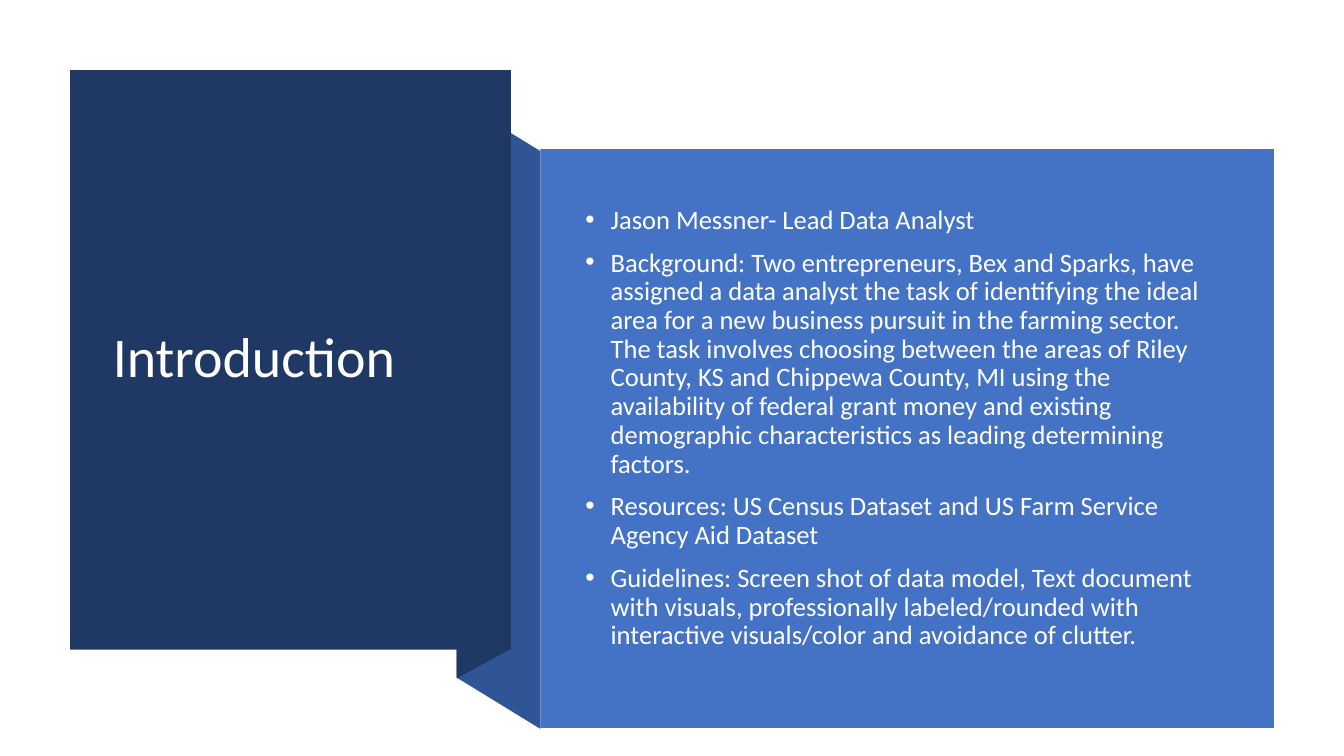
from lxml import etree
from pptx import Presentation
from pptx.dml.color import RGBColor
from pptx.enum.shapes import MSO_SHAPE
from pptx.enum.text import MSO_ANCHOR
from pptx.oxml.ns import qn
from pptx.util import Pt

RECT = MSO_SHAPE.RECTANGLE
MIDDLE = MSO_ANCHOR.MIDDLE
FONT = "Calibri"
COLORS = {
    "navy": "203864",
    "fold": "2F5597",
    "panel": "4472C4",
    "title": "FFFFFF",
    "body": "FEFFFF",
}
POINTS = [
    "Jason Messner- Lead Data Analyst",
    "Background: Two entrepreneurs, Bex and Sparks, have assigned a data analyst "
    "the task of identifying the ideal area for a new business pursuit in the "
    "farming sector. The task involves choosing between the areas of Riley County, "
    "KS and Chippewa County, MI using the availability of federal grant money and "
    "existing demographic characteristics as leading determining factors.",
    "Resources: US Census Dataset and US Farm Service Agency Aid Dataset",
    "Guidelines: Screen shot of data model, Text document with visuals, "
    "professionally labeled/rounded with interactive visuals/color and avoidance "
    "of clutter.",
]


def rgb(name):
    return RGBColor.from_string(COLORS[name])


def paint(sp, color):
    """Give a shape a flat fill with no line or shadow."""
    sp.shadow.inherit = False
    sp.fill.solid()
    sp.fill.fore_color.rgb = rgb(color)
    sp.line.fill.background()


def add_rect(s, left, top, width, height, color):
    sp = s.shapes.add_shape(RECT, Pt(left), Pt(top), Pt(width), Pt(height))
    paint(sp, color)


def add_fold(s, left, right, left_top, right_top, height, color):
    """Draw a ribbon fold: a parallelogram with vertical sides."""
    corners = [
        (left, left_top),
        (right, right_top),
        (right, right_top + height),
        (left, left_top + height),
    ]
    start, *rest = [(Pt(x), Pt(y)) for x, y in corners]
    builder = s.shapes.build_freeform(*start)
    builder.add_line_segments(rest, close=True)
    paint(builder.convert_to_shape(), color)


def add_bullet(p):
    pPr = p._p.get_or_add_pPr()
    pPr.set("marL", str(Pt(18)))
    pPr.set("indent", str(-Pt(18)))
    etree.SubElement(pPr, qn("a:buFont"), typeface="Arial")
    etree.SubElement(pPr, qn("a:buChar"), char="•")


def add_text(s, left, top, width, height, lines, size, color, bullets=False):
    box = s.shapes.add_textbox(Pt(left), Pt(top), Pt(width), Pt(height))
    tf = box.text_frame
    tf.word_wrap = True
    tf.vertical_anchor = MIDDLE
    for i, line in enumerate(lines):
        p = tf.add_paragraph() if i else tf.paragraphs[0]
        p.line_spacing = 0.9
        if bullets:
            p.space_before = Pt(10)
            add_bullet(p)
        r = p.add_run()
        r.text = line
        r.font.name = FONT
        r.font.size = Pt(size)
        r.font.color.rgb = rgb(color)


def main():
    prs = Presentation()
    prs.slide_width, prs.slide_height = Pt(960), Pt(540)
    s = prs.slides.add_slide(prs.slide_layouts[6])

    add_fold(s, 326.2, 386, 71.3, 108, 412.7, "fold")
    add_fold(s, 326.2, 364.6, 70.6, 49.7, 414, "navy")
    add_rect(s, 50, 50, 315, 414, "navy")
    add_text(s, 73.5, 77, 267, 359.3, ["Introduction"], 40, "title")
    add_rect(s, 386, 106.6, 524, 413.4, "panel")
    add_text(s, 411.1, 135.4, 468.7, 341.3, POINTS, 19, "body", bullets=True)

    prs.save("out.pptx")


if __name__ == "__main__":
    main()
